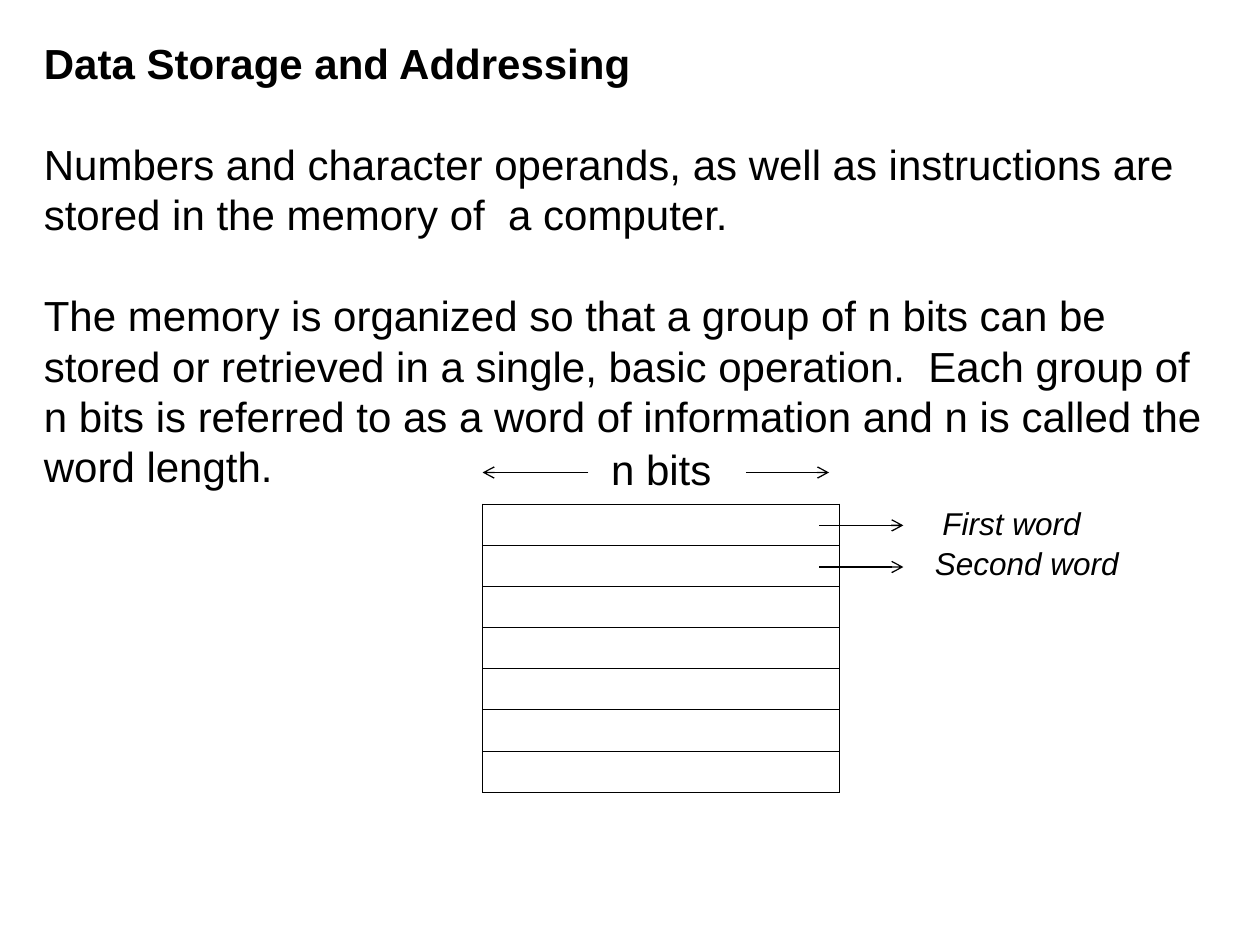
from dataclasses import dataclass

import pptx
import pptx.dml.color
import pptx.enum.shapes
import pptx.oxml
import pptx.oxml.ns
import pptx.slide
import pptx.util
from pptx.util import Inches

BLACK = pptx.dml.color.RGBColor(0, 0, 0)
FONT = "Arial"
BODY_SIZE = 24
LABEL_SIZE = 18
LINE_PITCH = pptx.util.Pt(28.8)
WORD_COUNT = 7
MEMORY_LEFT, MEMORY_TOP = 3.83, 4
MEMORY_WIDTH, MEMORY_HEIGHT = 2.83, 2.29


@dataclass
class Label:
    text: str
    left: float
    top: float
    width: float
    height: float
    size: int
    italic: bool


@dataclass
class Arrow:
    start: float
    end: float
    y: float


PARAGRAPHS = [
    "Data Storage and Addressing",
    "Numbers and character operands, as well as instructions are stored in the memory of  a computer.",
    "The memory is organized so that a group of n bits can be stored or retrieved in a single, "
    "basic operation.  Each group of n bits is referred to as a word of information and n is called "
    "the word length.",
]
LABELS = [
    Label("n bits", 4.85, 3.52, 1, 0.4, BODY_SIZE, False),
    Label("First word", 7.48, 4, 1.6, 0.3, LABEL_SIZE, True),
    Label("Second word", 7.42, 4.32, 1.8, 0.3, LABEL_SIZE, True),
]
ARROWS = [
    Arrow(5.92, 6.58, 3.75),
    Arrow(4.67, 3.83, 3.75),
    Arrow(6.5, 7.17, 4.17),
    Arrow(6.5, 7.17, 4.5),
]


def style_run(run, size: int, bold: bool = False, italic: bool = False) -> None:
    run.font.name = FONT
    run.font.size = pptx.util.Pt(size)
    run.font.bold = bold
    run.font.italic = italic
    run.font.color.rgb = BLACK


def add_body(slide: pptx.slide.Slide) -> None:
    body = slide.shapes.add_textbox(Inches(0.25), Inches(0.25), Inches(9.5), Inches(3.7))
    body.text_frame.word_wrap = True
    body.text_frame.text = "\n".join(PARAGRAPHS)
    for index, paragraph in enumerate(body.text_frame.paragraphs):
        paragraph.line_spacing = LINE_PITCH
        paragraph.space_before = LINE_PITCH if index else 0
        style_run(paragraph.runs[0], BODY_SIZE, bold=index == 0)


def add_label(slide: pptx.slide.Slide, label: Label) -> None:
    caption = slide.shapes.add_textbox(
        Inches(label.left), Inches(label.top), Inches(label.width), Inches(label.height)
    )
    frame = caption.text_frame
    frame.margin_left = frame.margin_right = frame.margin_top = frame.margin_bottom = 0
    frame.word_wrap = True
    frame.text = label.text
    style_run(frame.paragraphs[0].runs[0], label.size, italic=label.italic)


def add_memory(slide: pptx.slide.Slide) -> None:
    memory = slide.shapes.add_table(
        WORD_COUNT, 1, Inches(MEMORY_LEFT), Inches(MEMORY_TOP),
        Inches(MEMORY_WIDTH), Inches(MEMORY_HEIGHT),
    ).table
    memory.first_row = False
    memory.horz_banding = False
    for row in memory.rows:
        word = row.cells[0]
        word.margin_top = word.margin_bottom = 0
        word.fill.background()
        properties = word._tc.get_or_add_tcPr()
        for position, side in enumerate(("lnL", "lnR", "lnT", "lnB")):
            border = pptx.oxml.parse_xml(
                f'<a:{side} {pptx.oxml.ns.nsdecls("a")} w="{pptx.util.Pt(0.5)}">'
                f'<a:solidFill><a:srgbClr val="{BLACK}"/></a:solidFill></a:{side}>'
            )
            properties.insert(position, border)


def add_arrow(slide: pptx.slide.Slide, arrow: Arrow) -> None:
    connector = slide.shapes.add_connector(
        pptx.enum.shapes.MSO_CONNECTOR.STRAIGHT,
        Inches(arrow.start), Inches(arrow.y), Inches(arrow.end), Inches(arrow.y),
    )
    connector.line.color.rgb = BLACK
    connector.line.width = pptx.util.Pt(0.75)
    namespace = pptx.oxml.ns.nsdecls("a")
    connector.line._get_or_add_ln().append(
        pptx.oxml.parse_xml(f'<a:tailEnd {namespace} type="arrow"/>')
    )
    connector._element.spPr.append(pptx.oxml.parse_xml(f"<a:effectLst {namespace}/>"))


def main() -> None:
    presentation = pptx.Presentation()
    presentation.slide_width = Inches(10)
    presentation.slide_height = Inches(7.5)
    slide = presentation.slides.add_slide(presentation.slide_layouts[6])
    add_body(slide)
    add_memory(slide)
    for label in LABELS:
        add_label(slide, label)
    for arrow in ARROWS:
        add_arrow(slide, arrow)
    presentation.save("out.pptx")


if __name__ == "__main__":
    main()
